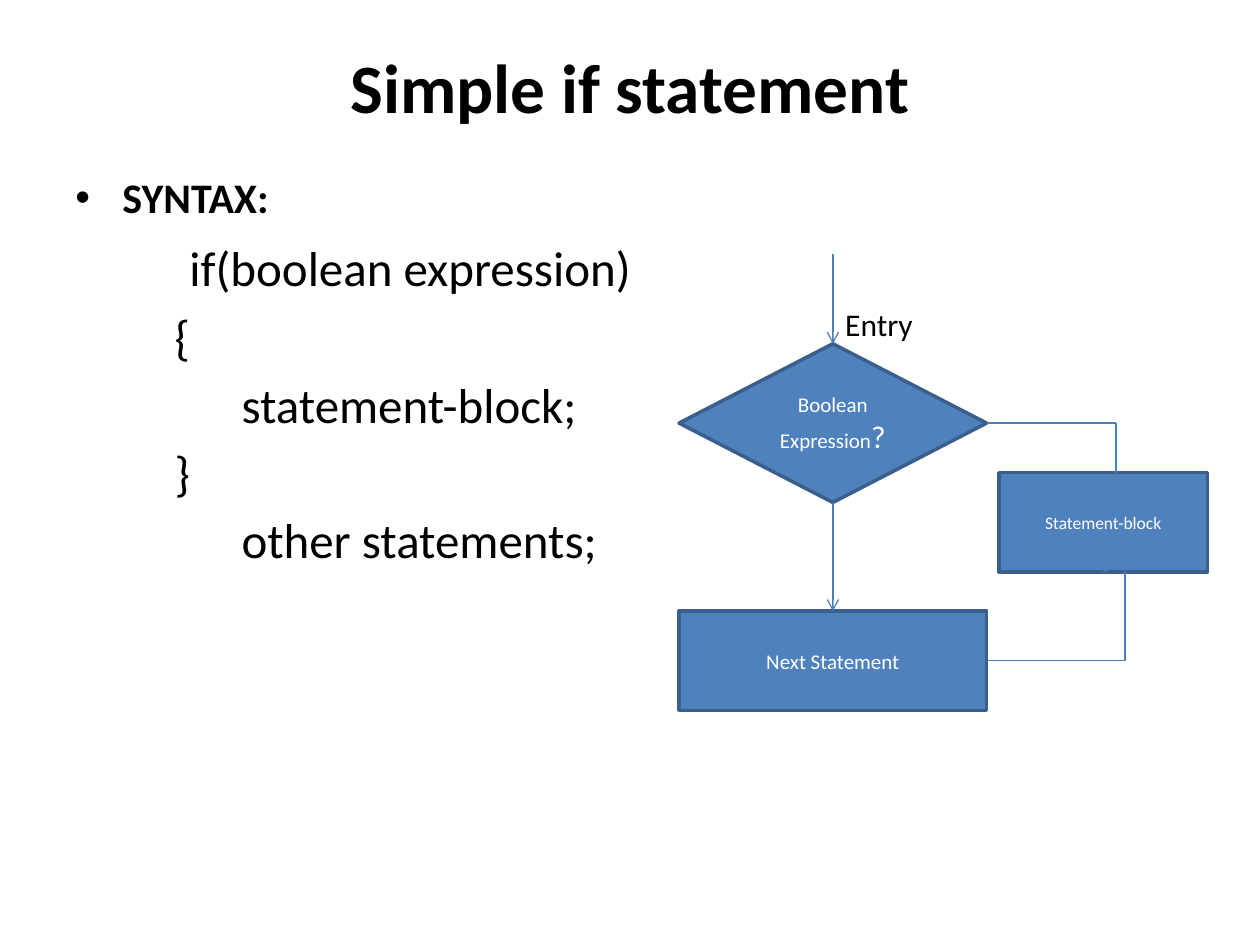
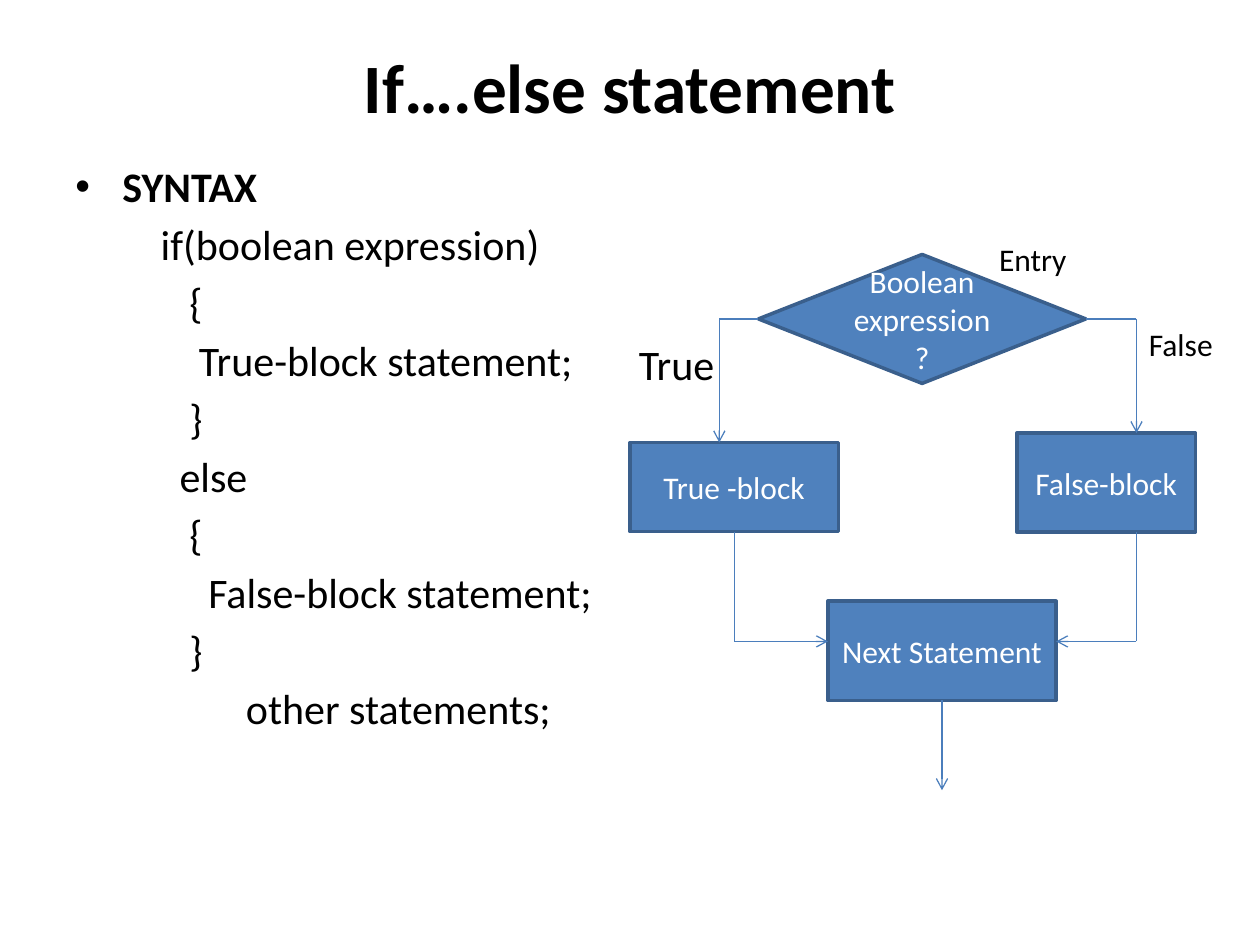
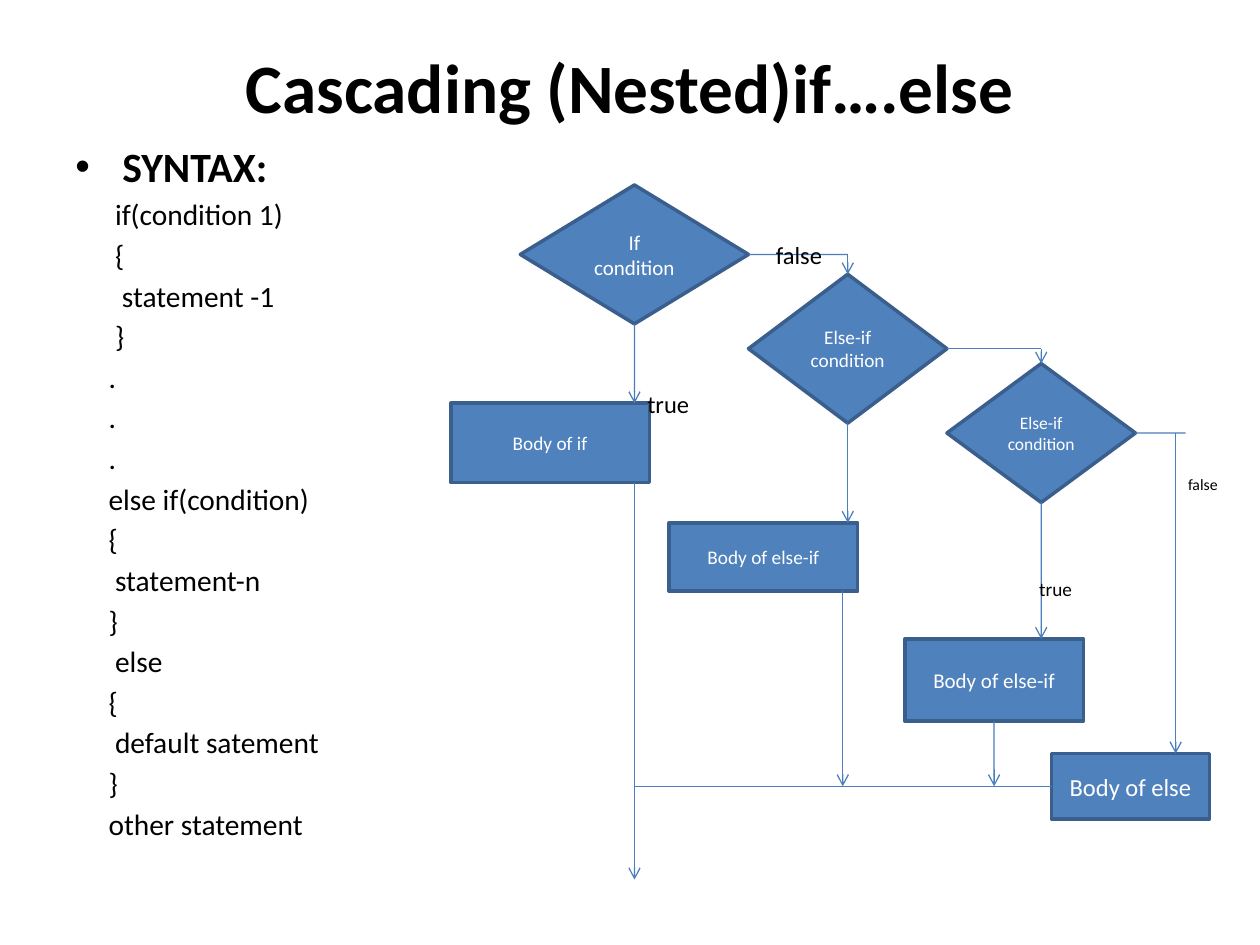
import itertools
from dataclasses import dataclass, field
from typing import Optional

import lxml.etree
import pptx
import pptx.dml.color
import pptx.enum.shapes
import pptx.enum.text
import pptx.oxml.ns
import pptx.util

Cm = pptx.util.Cm
Pt = pptx.util.Pt
Shapes = pptx.enum.shapes.MSO_SHAPE
Align = pptx.enum.text.PP_ALIGN
Anchor = pptx.enum.text.MSO_ANCHOR
qn = pptx.oxml.ns.qn

COLORS = {"text": "000000", "node_text": "FFFFFF", "node": "4F81BD",
          "node_edge": "3A5F8C", "arrow": "4B7EBC"}
FONT = "Calibri"
MARGIN, CONTENT_WIDTH = 1.27, 22.86
TITLE_TOP, TITLE_HEIGHT, TITLE_SIZE = 0.76, 1.96, 39.6
BODY_BOTTOM = 17.02
BULLET_INDENT = 0.95
SPACE_BEFORE = 0.18  # share of the font size
JOIN_TOLERANCE = 0.03

Point = tuple[float, float]


@dataclass
class Node:
    """A flowchart box; each line of text is a list of (words, size) runs."""
    left: float
    top: float
    width: float
    height: float
    lines: list[list[tuple[str, float]]]
    kind: Shapes = Shapes.FLOWCHART_PROCESS

    def side_middles(self) -> list[Point]:
        middle_x, middle_y = self.left + self.width / 2, self.top + self.height / 2
        return [(middle_x, self.top), (self.left, middle_y),
                (middle_x, self.top + self.height), (self.left + self.width, middle_y)]


@dataclass
class Route:
    points: list[Point]
    arrow: bool = True


@dataclass
class Label:
    text: str
    left: float
    top: float
    width: float
    size: float


@dataclass
class CodeLine:
    text: str
    indent: float
    before: Optional[float] = None


@dataclass
class Lesson:
    title: str
    body_top: float
    heading: str
    heading_size: float
    code_size: float
    code: list[CodeLine]
    nodes: list[Node] = field(default_factory=list)
    routes: list[Route] = field(default_factory=list)
    labels: list[Label] = field(default_factory=list)


def process(left: float, top: float, width: float, height: float,
            text: str, size: float) -> Node:
    return Node(left, top, width, height, [[(text, size)]])


def decision(left: float, top: float, width: float, height: float,
             *lines: list[tuple[str, float]]) -> Node:
    return Node(left, top, width, height, list(lines), Shapes.FLOWCHART_DECISION)


def rgb(name: str) -> pptx.dml.color.RGBColor:
    return pptx.dml.color.RGBColor.from_string(COLORS[name])


def add_run(paragraph, text: str, size: float, color: str = "text",
            bold: bool = False) -> None:
    run = paragraph.add_run()
    run.text = text
    run.font.name = FONT
    run.font.size = Pt(size)
    run.font.bold = bold
    run.font.color.rgb = rgb(color)


def add_text_frame(slide, left: float, top: float, width: float, height: float,
                   wrap: bool = True):
    frame = slide.shapes.add_textbox(Cm(left), Cm(top), Cm(width), Cm(height)).text_frame
    frame.word_wrap = wrap
    return frame


def draw_title(slide, text: str) -> None:
    frame = add_text_frame(slide, MARGIN, TITLE_TOP, CONTENT_WIDTH, TITLE_HEIGHT)
    frame.vertical_anchor = Anchor.MIDDLE
    frame.paragraphs[0].alignment = Align.CENTER
    add_run(frame.paragraphs[0], text, TITLE_SIZE, bold=True)


def set_indent(paragraph, left: float, first_line: float = 0):
    properties = paragraph._p.get_or_add_pPr()
    properties.set("marL", str(Cm(left)))
    properties.set("indent", str(Cm(first_line)))
    return properties


def draw_syntax(slide, lesson: Lesson) -> None:
    frame = add_text_frame(slide, MARGIN, lesson.body_top, CONTENT_WIDTH,
                           BODY_BOTTOM - lesson.body_top)
    heading = frame.paragraphs[0]
    properties = set_indent(heading, BULLET_INDENT, -BULLET_INDENT)
    lxml.etree.SubElement(properties, qn("a:buFont"), typeface="Arial")
    lxml.etree.SubElement(properties, qn("a:buChar"), char="•")
    add_run(heading, lesson.heading, lesson.heading_size, bold=True)
    for line in lesson.code:
        paragraph = frame.add_paragraph()
        set_indent(paragraph, line.indent)
        paragraph.space_before = Pt(line.before or SPACE_BEFORE * lesson.code_size)
        add_run(paragraph, line.text, lesson.code_size)


def draw_node(slide, node: Node):
    shape = slide.shapes.add_shape(node.kind, Cm(node.left), Cm(node.top),
                                   Cm(node.width), Cm(node.height))
    shape.shadow.inherit = False
    shape.fill.solid()
    shape.fill.fore_color.rgb = rgb("node")
    shape.line.color.rgb = rgb("node_edge")
    shape.line.width = Pt(2)
    frame = shape.text_frame
    frame.word_wrap = True
    frame.vertical_anchor = Anchor.MIDDLE
    for index, runs in enumerate(node.lines):
        paragraph = frame.add_paragraph() if index else frame.paragraphs[0]
        paragraph.alignment = Align.CENTER
        for text, size in runs:
            add_run(paragraph, text, size, "node_text")
    return shape


def join(connect, point: Point, nodes: list[Node], drawn: list) -> None:
    """Attach a connector end that lies at the middle of a node's side."""
    for node, shape in zip(nodes, drawn):
        for site, middle in enumerate(node.side_middles()):
            if all(abs(a - b) < JOIN_TOLERANCE for a, b in zip(point, middle)):
                connect(shape, site)
                return


def draw_route(slide, route: Route, nodes: list[Node], drawn: list) -> None:
    for start, end in itertools.pairwise(route.points):
        segment = slide.shapes.add_connector(
            pptx.enum.shapes.MSO_CONNECTOR.STRAIGHT, *map(Cm, start + end))
        segment.line.color.rgb = rgb("arrow")
        segment.line.width = Pt(0.75)
        if route.arrow and end == route.points[-1]:
            lxml.etree.SubElement(segment.line._get_or_add_ln(), qn("a:tailEnd"),
                                  type="arrow")
        lxml.etree.SubElement(segment.element.spPr, qn("a:effectLst"))
        join(segment.begin_connect, start, nodes, drawn)
        join(segment.end_connect, end, nodes, drawn)


def draw_label(slide, label: Label) -> None:
    height = 0.25 + label.size * 0.04
    frame = add_text_frame(slide, label.left, label.top, label.width, height, wrap=False)
    add_run(frame.paragraphs[0], label.text, label.size)


def draw_lesson(slide, lesson: Lesson) -> None:
    draw_title(slide, lesson.title)
    draw_syntax(slide, lesson)
    drawn = [draw_node(slide, node) for node in lesson.nodes]
    for route in lesson.routes:
        draw_route(slide, route, lesson.nodes, drawn)
    for label in lesson.labels:
        draw_label(slide, label)


SIMPLE_IF = Lesson(
    "Simple if statement", 3.33, "SYNTAX:", 24, 28,
    code=[
        CodeLine("if(boolean expression)", 2.3, before=9),
        CodeLine("{", 2, before=6),
        CodeLine("statement-block;", 3.35),
        CodeLine("}", 2),
        CodeLine("other statements;", 3.35),
    ],
    nodes=[
        decision(13.69, 6.93, 6.2, 3.2, [("Boolean", 12)], [("Expression", 12), ("?", 18)]),
        process(13.69, 12.32, 6.2, 2, "Next Statement", 12),
        process(20.14, 9.53, 4.2, 2, "Statement-block", 10),
    ],
    routes=[
        Route([(16.79, 5.13), (16.79, 6.93)]),
        Route([(19.89, 8.53), (22.5, 8.53), (22.5, 9.53)], arrow=False),
        Route([(22.24, 11.53), (23.14, 11.13)], arrow=False),
        Route([(22.68, 11.53), (22.68, 13.32), (19.89, 13.32)], arrow=False),
        Route([(16.79, 10.13), (16.79, 12.32)]),
    ],
    labels=[Label("Entry", 16.79, 6.02, 1.88, 18)],
)

IF_ELSE = Lesson(
    "If….else statement", 3.12, "SYNTAX", 24, 24,
    code=[
        CodeLine("if(boolean expression)", 1.72),
        CodeLine("{", 2.3),
        CodeLine("True-block statement;", 2.49),
        CodeLine("}", 2.3),
        CodeLine("else", 2.1),
        CodeLine("{", 2.3),
        CodeLine("False-block statement;", 2.68),
        CodeLine("}", 2.3),
        CodeLine("other statements;", 3.44),
    ],
    nodes=[
        decision(15.29, 5.13, 6.6, 2.6, [("Boolean expression?", 18)]),
        process(12.7, 8.92, 4.2, 1.8, "True -block", 18),
        process(20.5, 8.73, 3.6, 2, "False-block", 18),
        process(16.69, 12.12, 4.6, 2, "Next Statement", 18),
    ],
    routes=[
        Route([(15.29, 6.43), (14.5, 6.43), (14.5, 8.92)]),
        Route([(21.89, 6.43), (22.91, 6.43), (22.91, 8.73)]),
        Route([(14.8, 10.72), (14.8, 12.93), (16.69, 12.93)]),
        Route([(22.91, 10.73), (22.91, 12.93), (21.29, 12.93)]),
        Route([(18.99, 14.12), (18.99, 15.93)]),
    ],
    labels=[
        Label("True", 12.63, 6.7, 2.03, 24),
        Label("Entry", 19.89, 4.72, 1.88, 18),
        Label("False", 22.91, 6.43, 1.8, 18),
    ],
)

CASCADING_IF = Lesson(
    "Cascading (Nested)if….else", 2.72, "SYNTAX:", 23.8, 16.8,
    code=[
        CodeLine("if(condition 1)", 0.8),
        CodeLine("{", 0.8),
        CodeLine("statement -1", 0.94),
        CodeLine("}", 0.8),
        *[CodeLine(".", 0.67) for _ in range(3)],
        CodeLine("else if(condition)", 0.67),
        CodeLine("{", 0.67),
        CodeLine("statement-n", 0.8),
        CodeLine("}", 0.67),
        CodeLine("else", 0.8),
        CodeLine("{", 0.67),
        CodeLine("default satement", 0.8),
        CodeLine("}", 0.67),
        CodeLine("other statement", 0.67),
    ],
    nodes=[
        decision(10.49, 3.73, 4.6, 2.8, [("If condition", 12)]),
        decision(15.09, 5.53, 4, 3, [("Else-if condition", 11)]),
        decision(19.09, 7.33, 3.8, 2.8, [("Else-if condition", 10)]),
        process(9.09, 8.13, 4, 1.6, "Body of if", 11),
        process(13.49, 10.54, 3.8, 1.38, "Body of else-if", 11),
        process(18.24, 12.88, 3.6, 1.66, "Body of else-if", 12),
        process(21.2, 15.19, 3.18, 1.32, "Body of else", 14),
    ],
    routes=[
        Route([(22.89, 8.73), (23.9, 8.73)], arrow=False),
        Route([(23.7, 8.73), (23.7, 15.19)]),
        Route([(15.09, 5.13), (17.09, 5.13), (17.09, 5.53)]),
        Route([(19.09, 7.03), (20.99, 7.03), (20.99, 7.33)]),
        Route([(12.79, 6.53), (12.79, 8.13)]),
        Route([(17.09, 8.53), (17.09, 10.54)]),
        Route([(20.99, 10.13), (20.99, 12.88)]),
        Route([(12.79, 9.73), (12.79, 17.73)]),
        Route([(12.79, 15.85), (21.2, 15.85)], arrow=False),
        Route([(16.99, 11.92), (16.99, 15.85)]),
        Route([(20.04, 14.54), (20.04, 15.85)]),
    ],
    labels=[
        Label("false", 23.7, 9.45, 1.12, 9),
        Label("true", 20.7, 11.51, 1.17, 11),
        Label("false", 15.39, 4.72, 1.45, 14),
        Label("true", 12.8, 7.72, 1.37, 14),
    ],
)


def main() -> None:
    deck = pptx.Presentation()
    deck.slide_width, deck.slide_height = Cm(25.4), Cm(19.05)
    blank = deck.slide_layouts[6]
    for lesson in (SIMPLE_IF, IF_ELSE, CASCADING_IF):
        draw_lesson(deck.slides.add_slide(blank), lesson)
    deck.save("out.pptx")


if __name__ == "__main__":
    main()
